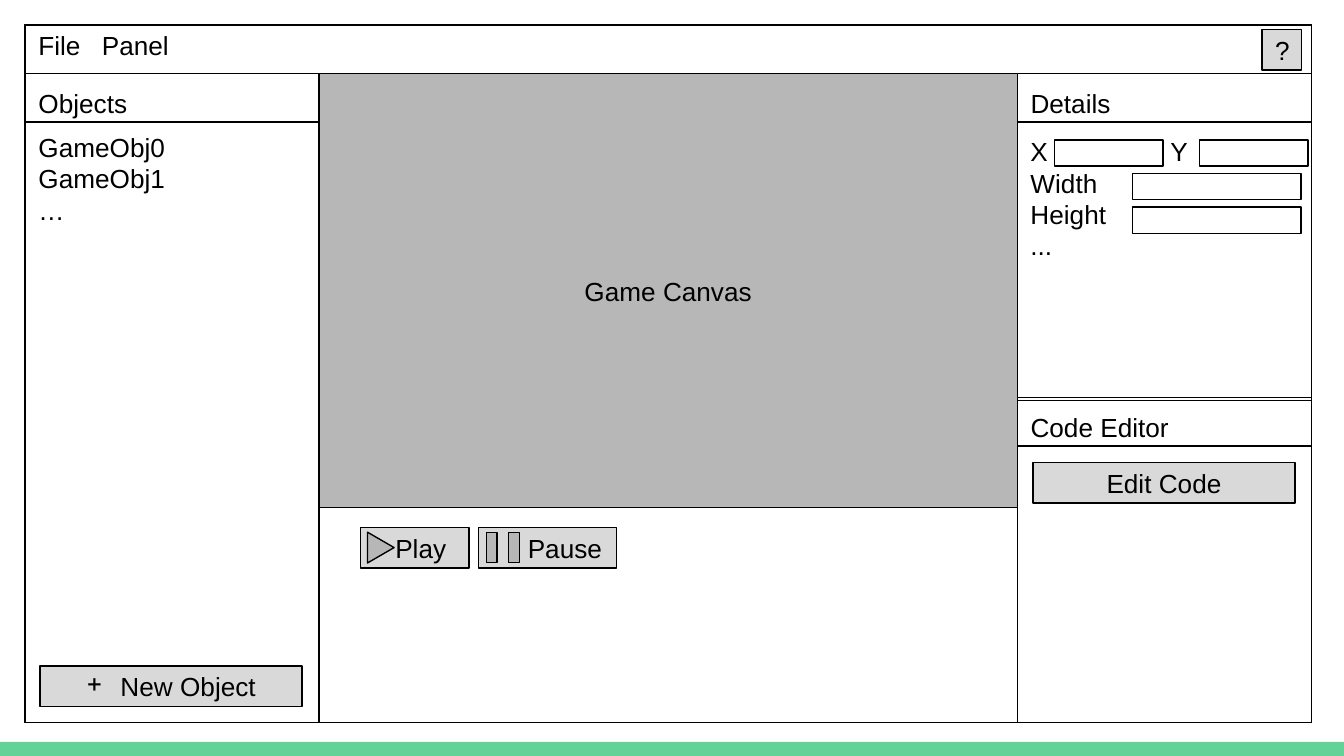
"""Build a wireframe slide of a game editor window."""
from dataclasses import dataclass
from typing import Optional

import pptx
import pptx.dml.color
import pptx.enum.shapes
import pptx.enum.text
import pptx.oxml.ns
import pptx.util
from lxml import etree

Pt = pptx.util.Pt
RGBColor = pptx.dml.color.RGBColor
MSO_SHAPE = pptx.enum.shapes.MSO_SHAPE
PP_ALIGN = pptx.enum.text.PP_ALIGN
MSO_ANCHOR = pptx.enum.text.MSO_ANCHOR
qn = pptx.oxml.ns.qn

BLACK = RGBColor(0x00, 0x00, 0x00)
CANVAS_GRAY = RGBColor(0xB7, 0xB7, 0xB7)
BUTTON_GRAY = RGBColor(0xD9, 0xD9, 0xD9)
GREEN = RGBColor(0x63, 0xD2, 0x97)

INSET = 7.2
EDGE, BOTTOM = 13.5, 387
SIDE_W, CANVAS_W, CANVAS_H = 157.5, 374, 232.5
BAR_H, BUTTON_H, FIELD_H = 26, 21.75, 14
CANVAS_X = EDGE + SIDE_W
RIGHT_X = CANVAS_X + CANVAS_W
FRAME_W = 2 * SIDE_W + CANVAS_W
BODY_Y = EDGE + BAR_H
CODE_Y = 213
PLAY_Y = 282.5


@dataclass
class Box:
    x: float
    y: float
    w: float
    h: float
    fill: Optional[RGBColor] = None
    text: str = ""
    left: float = INSET
    align: PP_ALIGN = PP_ALIGN.LEFT
    bullet: str = ""
    shape: MSO_SHAPE = MSO_SHAPE.RECTANGLE
    rotation: float = 0
    line: Optional[RGBColor] = BLACK


@dataclass
class Label:
    x: float
    y: float
    w: float
    h: float
    lines: tuple[str, ...]
    tab: float = 0


def write(tf, lines: tuple[str, ...], left: float = INSET) -> None:
    """Fill a text frame with one paragraph per line."""
    tf.word_wrap = True
    tf.margin_left = Pt(left)
    tf.margin_right = tf.margin_top = tf.margin_bottom = Pt(INSET)
    for i, line in enumerate(lines):
        p = tf.add_paragraph() if i else tf.paragraphs[0]
        p.text = line
        p.alignment = PP_ALIGN.LEFT
        p.font.name = "Arial"
        p.font.size = Pt(14)
        p.font.color.rgb = BLACK


def add_bullet(p, char: str) -> None:
    """Give a paragraph a hanging bullet."""
    pPr = p._p.get_or_add_pPr()
    pPr.set("marL", str(Pt(36)))
    pPr.set("indent", str(Pt(-18)))
    bu = etree.Element(qn("a:buChar"), char=char)
    pPr.insert(0, bu)


def add_tab(p, position: float) -> None:
    """Set one left tab stop on a paragraph."""
    tabs = etree.Element(qn("a:tabLst"))
    etree.SubElement(tabs, qn("a:tab"), pos=str(Pt(position)), algn="l")
    p._p.get_or_add_pPr().insert(0, tabs)


def add_box(s, box: Box) -> None:
    """Draw an outlined shape with optional fill and text."""
    sp = s.shapes.add_shape(box.shape, Pt(box.x), Pt(box.y), Pt(box.w), Pt(box.h))
    sp.shadow.inherit = False
    sp.rotation = box.rotation
    if box.fill is None:
        sp.fill.background()
    else:
        sp.fill.solid()
        sp.fill.fore_color.rgb = box.fill
    if box.line is None:
        sp.line.fill.background()
    else:
        sp.line.color.rgb = box.line
        sp.line.width = Pt(0.75)
    if box.text:
        tf = sp.text_frame
        write(tf, (box.text,), box.left)
        tf.vertical_anchor = MSO_ANCHOR.MIDDLE
        tf.paragraphs[0].alignment = box.align
        if box.bullet:
            add_bullet(tf.paragraphs[0], box.bullet)


def add_label(s, label: Label) -> None:
    """Draw a plain text box."""
    sp = s.shapes.add_textbox(Pt(label.x), Pt(label.y), Pt(label.w), Pt(label.h))
    tf = sp.text_frame
    write(tf, label.lines)
    if label.tab:
        add_tab(tf.paragraphs[0], label.tab)


PANELS = [
    Box(0, 397.5, 720, 7.5, GREEN, line=None),
    Box(EDGE, EDGE, FRAME_W, BOTTOM - EDGE),
    Box(EDGE, EDGE, FRAME_W, BAR_H),
    Box(RIGHT_X, BODY_Y, SIDE_W, 175),
    Box(RIGHT_X, BODY_Y, SIDE_W, BAR_H),
    Box(CANVAS_X, BODY_Y, CANVAS_W, CANVAS_H, CANVAS_GRAY, "Game Canvas",
        align=PP_ALIGN.CENTER),
    Box(EDGE, BODY_Y, SIDE_W, BOTTOM - BODY_Y),
    Box(EDGE, BODY_Y, SIDE_W, BAR_H),
    Box(RIGHT_X, 214.5, SIDE_W, BOTTOM - 214.5),
    Box(RIGHT_X, CODE_Y, SIDE_W, BAR_H),
]

LABELS = [
    Label(EDGE, 8.5, 106.5, 36, ("File\tPanel",), tab=34),
    Label(RIGHT_X, BODY_Y, 106.5, 36, ("Details",)),
    Label(EDGE, BODY_Y, 106.5, 36, ("Objects",)),
    Label(RIGHT_X, CODE_Y, 106.5, 36, ("Code Editor",)),
    Label(EDGE, 63.25, 106.5, 161, ("GameObj0", "GameObj1", "…")),
    Label(RIGHT_X, 65.5, SIDE_W, 147.5, ("X\tY", "Width", "Height", "..."), tab=75),
]

FIELDS = [
    *(Box(x, 75, 58.25, FIELD_H) for x in (564.75, 642.5)),
    *(Box(606.75, y, 90.25, FIELD_H) for y in (93, 111)),
]

BUTTONS = [
    Box(21.5, 356.75, 140.25, BUTTON_H, BUTTON_GRAY, "New Object", bullet="+"),
    Box(193, PLAY_Y, 58.25, BUTTON_H, BUTTON_GRAY, "Play", left=18.75),
    Box(256.25, PLAY_Y, 74, BUTTON_H, BUTTON_GRAY, "Pause", left=26.5),
    Box(553.5, 247.75, 140.25, BUTTON_H, BUTTON_GRAY, "Edit Code",
        align=PP_ALIGN.CENTER),
    Box(676, 15.75, 21.25, BUTTON_H, BUTTON_GRAY, "?"),
]

ICONS = [
    Box(195.75, 286.25, 16.5, 14.25, CANVAS_GRAY,
        shape=MSO_SHAPE.FLOWCHART_EXTRACT, rotation=90),
    *(Box(x, 285.25, 5.75, 16.25, CANVAS_GRAY) for x in (260.5, 272.5)),
]


def main() -> None:
    """Build and save the slide."""
    prs = pptx.Presentation()
    prs.slide_width, prs.slide_height = Pt(720), Pt(405)
    s = prs.slides.add_slide(prs.slide_layouts[6])
    for panel in PANELS:
        add_box(s, panel)
    for label in LABELS:
        add_label(s, label)
    for box in FIELDS + BUTTONS + ICONS:
        add_box(s, box)
    prs.save("out.pptx")


if __name__ == "__main__":
    main()
